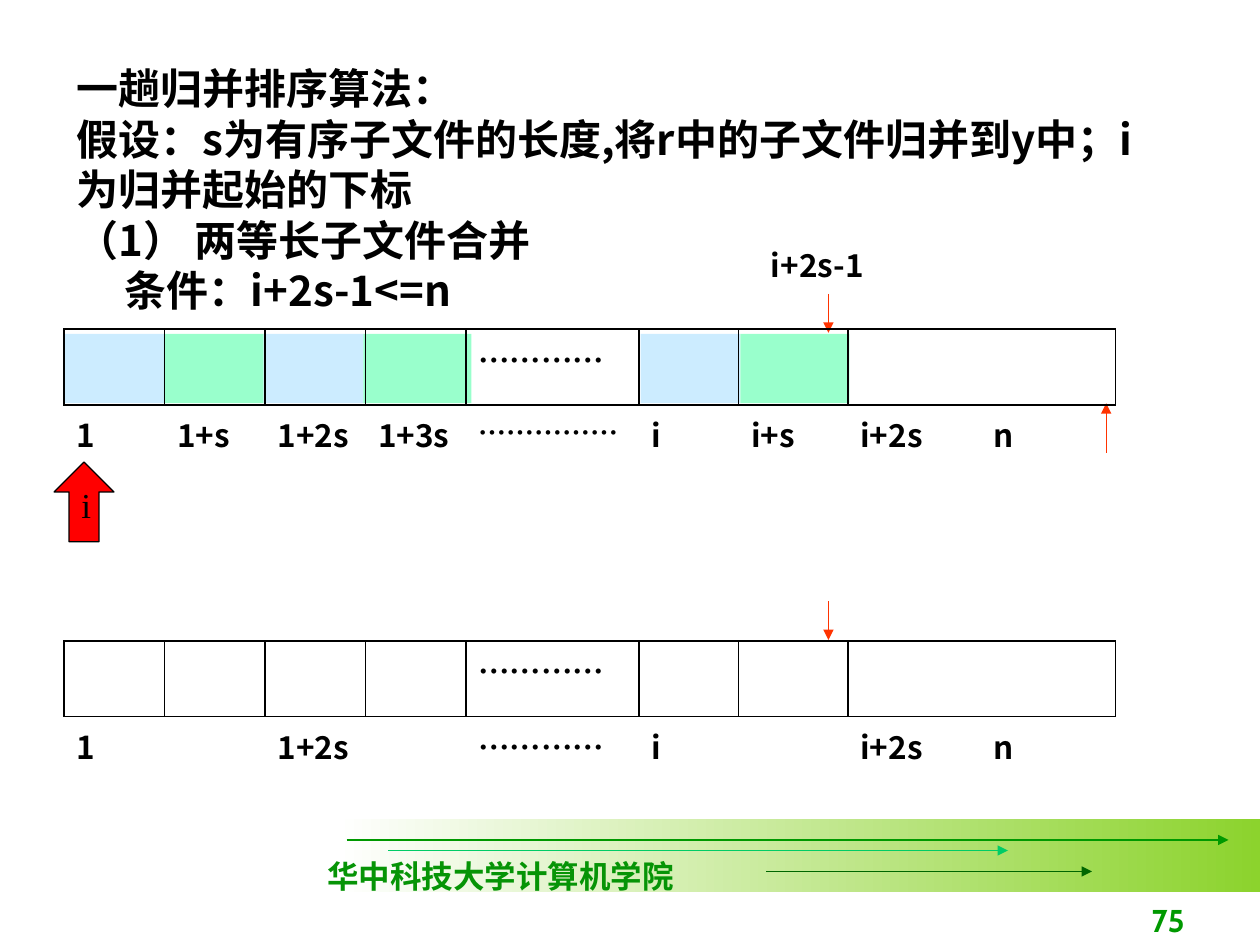
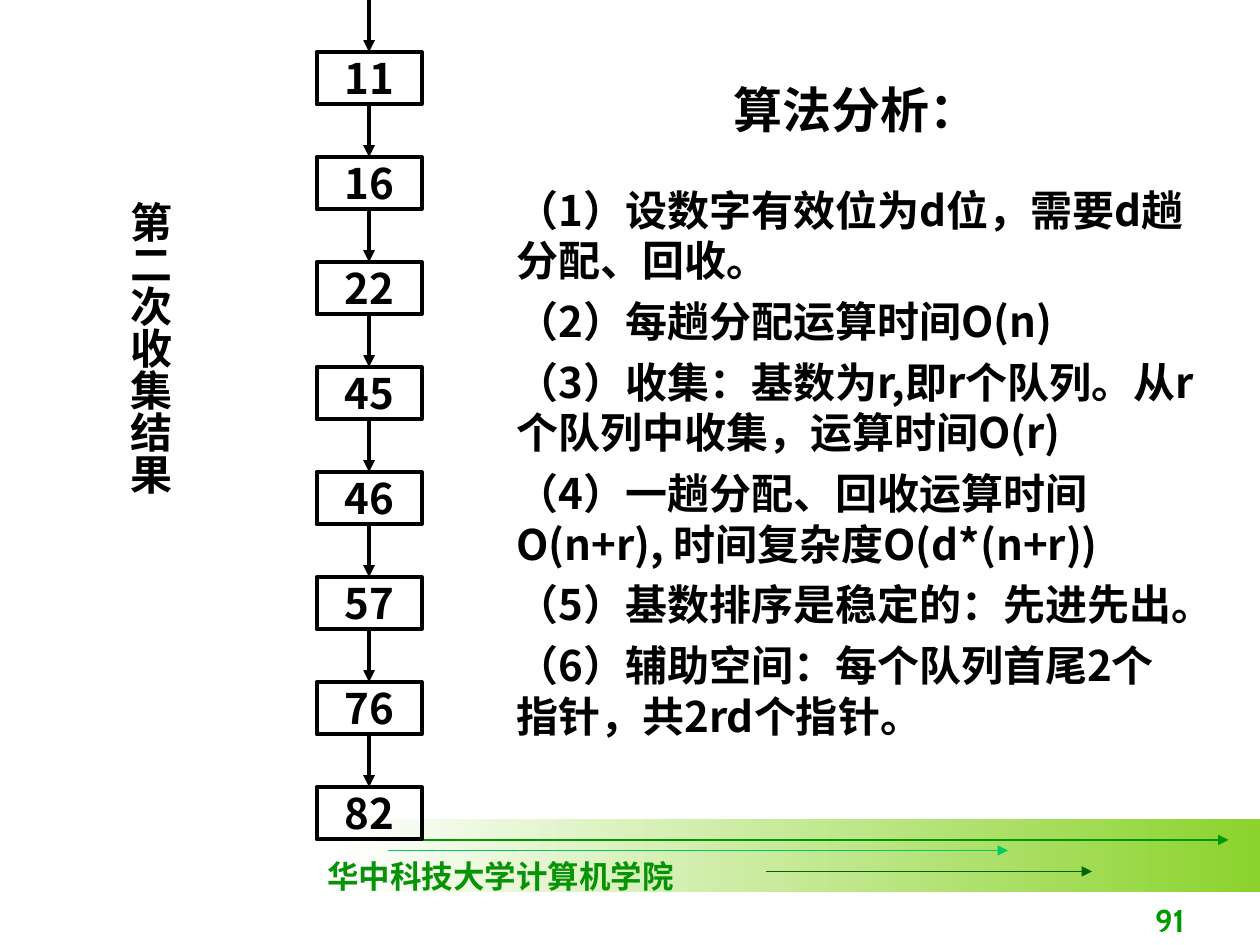
from lxml import etree
from pptx import Presentation
from pptx import util as u
from pptx.dml.color import RGBColor
from pptx.enum import shapes, text
from pptx.oxml import ns

COLORS = {
    "ink": "000000", "white": "FFFFFF", "band": "8CD32D",
    "school": "069406", "green": "009900", "mint": "00CC66", "forest": "006600",
    "blue_run": "CCECFF", "green_run": "99FFCC", "pointer": "FF3300", "marker": "FF0000",
}
CJK = "Noto Sans CJK SC"
COLUMNS = 120  # 12 grid units to the inch, the same across and down
UNIT = u.Inches(10) / COLUMNS


def rgb(name):
    return RGBColor.from_string(COLORS[name])


def grid(*values):
    return [u.Emu(round(value * UNIT)) for value in values]


def child(parent, tag, **attributes):
    return etree.SubElement(parent, ns.qn(tag), **attributes)


class Painter:
    """Holds the deck, the current page and the shared look."""

    def __init__(self):
        self.deck = Presentation()
        self.deck.slide_width, self.deck.slide_height = grid(COLUMNS, 90)
        self.page = None

    def new_page(self, number):
        self.page = self.deck.slides.add_slide(self.deck.slide_layouts[6])
        band = self.shape(32, 78, 88, 7, fill="white")
        band.fill.gradient()
        band.fill.gradient_angle = 0
        for stop, color in zip(band.fill.gradient_stops, ("white", "band")):
            stop.color.rgb = rgb(color)
        for left, right, row, color in ((33, 117, 80, "green"), (37, 96, 81, "mint"),
                                        (73, 104, 83, "forest")):
            self.arrow(left, row, right, row, color)
        self.textbox(30, 81, 35.4, 4.8, ["华中科技大学计算机学院"], wrap=False,
                     size=18, font="Times New Roman", color="school")
        corner = self.textbox(89, 84, 25, 6, [str(number)], grow=False, size=18,
                              font="Cabin", color="green", align=text.PP_ALIGN.RIGHT)
        corner.text_frame.vertical_anchor = text.MSO_ANCHOR.BOTTOM

    def add_words(self, para, words, size=24, font=CJK, color="ink", bold=True,
                  align=None, before=0):
        if align is not None:
            para.alignment = align
        if before:
            para.space_before = u.Pt(before)
        span = para.add_run()
        span.text = words
        span.font.size, span.font.bold, span.font.name = u.Pt(size), bold, font
        span.font.color.rgb = rgb(color)
        child(span.font._element, "a:ea", typeface=CJK)

    def textbox(self, left, top, width, height, lines, wrap=True, grow=True, **style):
        box = self.page.shapes.add_textbox(*grid(left, top, width, height))
        frame = box.text_frame
        frame.word_wrap = wrap
        frame.auto_size = (text.MSO_AUTO_SIZE.SHAPE_TO_FIT_TEXT if grow
                           else text.MSO_AUTO_SIZE.NONE)
        for index, words in enumerate(lines):
            para = frame.add_paragraph() if index else frame.paragraphs[0]
            self.add_words(para, words, **style)
        return box

    def shape(self, left, top, width, height, kind=shapes.MSO_SHAPE.RECTANGLE,
              fill=None, line=None, weight=0.75):
        shape = self.page.shapes.add_shape(kind, *grid(left, top, width, height))
        shape.shadow.inherit = False
        if fill:
            shape.fill.solid()
            shape.fill.fore_color.rgb = rgb(fill)
        else:
            shape.fill.background()
        if line:
            shape.line.color.rgb = rgb(line)
            shape.line.width = u.Pt(weight)
        else:
            shape.line.fill.background()
        return shape

    def label(self, shape, words, align, anchor, **style):
        frame = shape.text_frame
        frame.word_wrap = False
        frame.vertical_anchor = anchor
        self.add_words(frame.paragraphs[0], words, align=align, **style)

    def arrow(self, x1, y1, x2, y2, color, weight=0.75):
        line = self.page.shapes.add_connector(shapes.MSO_CONNECTOR.STRAIGHT,
                                              *grid(x1, y1, x2, y2))
        line.line.color.rgb = rgb(color)
        line.line.width = u.Pt(weight)
        child(line.line._get_or_add_ln(), "a:tailEnd", type="triangle")
        child(line._element.spPr, "a:effectLst")

    def array(self, left, top, widths, heights, rows):
        """Framed array cells in the first row, their subscripts in the second."""
        table = self.page.shapes.add_table(
            len(rows), len(widths), *grid(left, top, sum(widths), sum(heights))).table
        table.first_row = table.horz_banding = False
        for column, width in zip(table.columns, grid(*widths)):
            column.width = width
        for row, height in zip(table.rows, grid(*heights)):
            row.height = height
        for r, row in enumerate(rows):
            for c, words in enumerate(row):
                cell = table.cell(r, c)
                cell.fill.background()
                self.borders(cell, "LRTB" if r == 0 else "T")
                if words:
                    para = cell.text_frame.paragraphs[0]
                    if "\t" in words:
                        stops = child(para._p.get_or_add_pPr(), "a:tabLst")
                        child(stops, "a:tab", pos=str(grid(12.7)[0]), algn="l")
                    self.add_words(para, words, size=16 if words == "……………" else 18)

    def borders(self, cell, drawn):
        properties = cell._tc.get_or_add_tcPr()
        for index, side in enumerate("LRTB"):
            line = etree.Element(ns.qn(f"a:ln{side}"), w=str(u.Pt(1.08)))
            if side in drawn:
                child(child(line, "a:solidFill"), "a:srgbClr", val=COLORS["ink"])
            else:
                child(line, "a:noFill")
            properties.insert(index, line)


def merge_pass(painter):
    painter.new_page(75)
    runs = ((6.1, 9.5, "blue_run"), (15.6, 9.5, "green_run"), (25.1, 9.5, "blue_run"),
            (34.6, 10.3, "green_run"), (61, 9.5, "blue_run"), (70.5, 10.4, "green_run"))
    for left, width, color in runs:
        painter.shape(left, 31.8, width, 6.6, fill=color)
    painter.textbox(72.25, 22.8, 18, 4.8, ["i+2s-1"], size=18)
    intro = painter.textbox(6.1, 5.4, 104.9, 25.2, [
        "一趟归并排序算法：",
        "假设：s为有序子文件的长度,将r中的子文件归并到y中；i为归并起始的下标",
        "（1） 两等长子文件合并",
        "条件：i+2s-1<=n",
    ])
    condition = intro.text_frame.paragraphs[-1]
    condition._p.get_or_add_pPr().set("marL", str(grid(4.6)[0]))

    for top in (28, 57.25):
        painter.arrow(78.9, top, 78.9, top + 3.7, "pointer")
    painter.arrow(105.35, 43.1, 105.35, 38.4, "pointer")
    marker = painter.shape(5.15, 44, 5.7, 7.6, shapes.MSO_SHAPE.UP_ARROW,
                           fill="marker", line="ink")
    painter.label(marker, "i", text.PP_ALIGN.LEFT, text.MSO_ANCHOR.TOP,
                  size=20, font="Times New Roman", bold=False)

    dots = "…………"
    cells = ["", "", "", "", dots, "", "", ""]
    tail = "i+2s\tn"
    before = ["1", "1+s", "1+2s", "1+3s", dots + "…", "i", "i+s", tail]
    after = ["1", "", "1+2s", "", dots, "i", "", tail]
    widths = [9.57] * 4 + [16.5, 9.48, 10.4, 25.5]
    for top, subscripts in ((31.35, before), (61.05, after)):
        painter.array(6.1, top, widths, (7.2, 9.2), (cells, subscripts))


def radix_analysis(painter):
    painter.new_page(91)
    keys = (11, 16, 22, 45, 46, 57, 76, 82)
    for index, key in enumerate(keys):
        top = 4.95 + 10 * index
        node = painter.shape(30.15, top, 10, 5, line="ink", weight=2.25)
        painter.label(node, str(key), text.PP_ALIGN.CENTER, text.MSO_ANCHOR.MIDDLE)
        painter.arrow(35.15, max(top - 5, 0), 35.15, top, "ink", 2.25)

    caption = painter.textbox(10.1, 18, 7.2, 36, ["第二次收集结果"])
    frame = caption.text_frame
    frame.margin_left = frame.margin_right = u.Inches(0.05)
    frame.margin_top = frame.margin_bottom = u.Inches(0.1)
    frame._txBody.bodyPr.set("vert", "eaVert")

    analysis = painter.textbox(48, 7, 67, 63.7, ["算法分析："], size=28,
                               align=text.PP_ALIGN.CENTER)
    points = (
        "（1）设数字有效位为d位，需要d趟分配、回收。",
        "（2）每趟分配运算时间O(n)",
        "（3）收集：基数为r,即r个队列。从r个队列中收集，运算时间O(r)",
        "（4）一趟分配、回收运算时间O(n+r), 时间复杂度O(d*(n+r))",
        "（5）基数排序是稳定的：先进先出。",
        "（6）辅助空间：每个队列首尾2个指针，共2rd个指针。",
    )
    for index, point in enumerate(points):
        painter.add_words(analysis.text_frame.add_paragraph(), point,
                          before=6 if index else 26)


def main():
    painter = Painter()
    merge_pass(painter)
    radix_analysis(painter)
    painter.deck.save("out.pptx")


if __name__ == "__main__":
    main()
